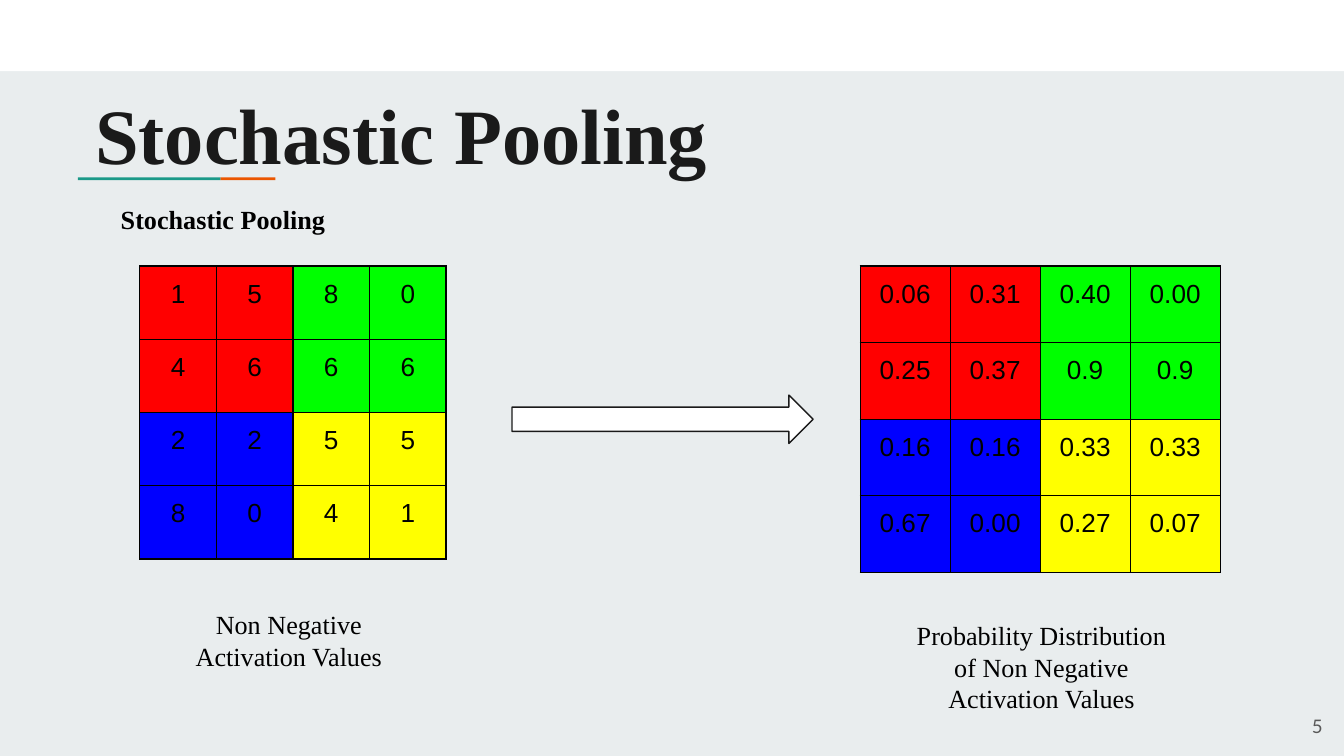
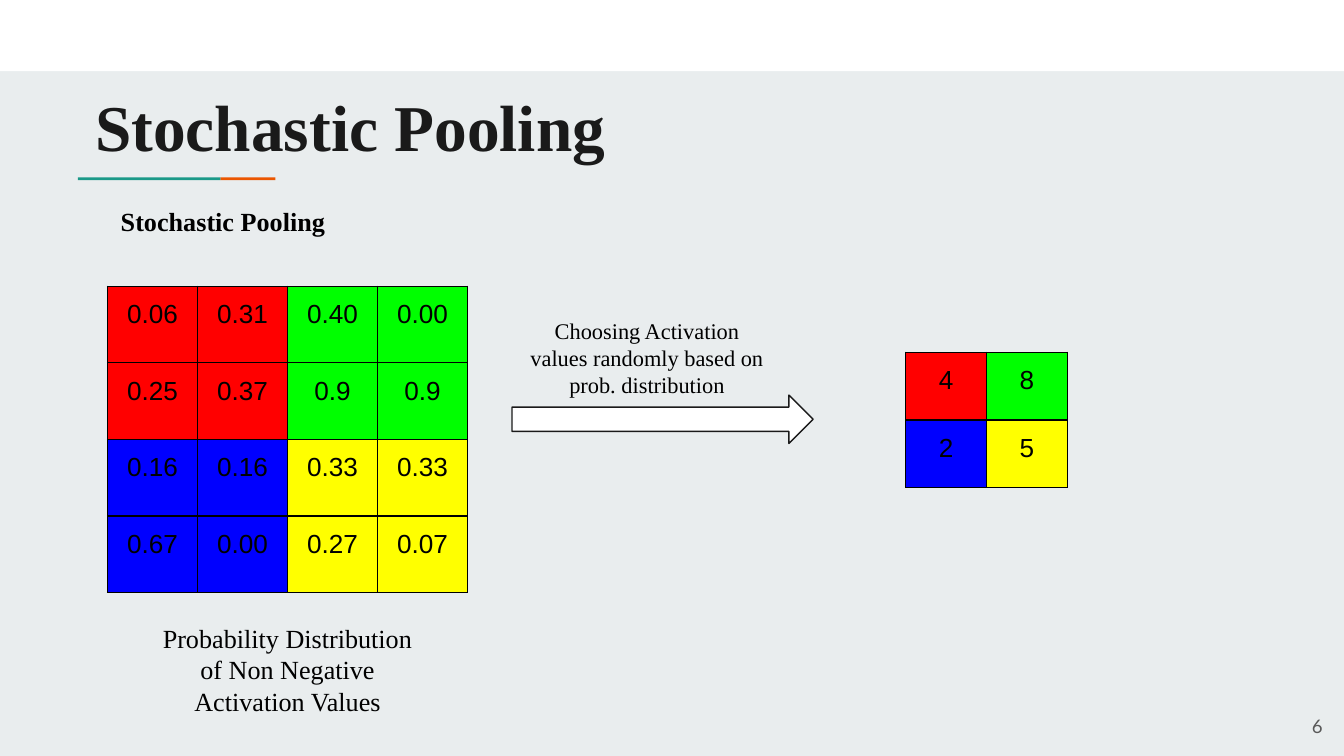
from lxml import etree
from pptx import Presentation
from pptx import util as u
from pptx.dml.color import RGBColor
from pptx.enum import shapes, text
from pptx.oxml.ns import qn

WIDTH, HEIGHT = 10, 5.625
COLORS = dict(page="E9EDEE", band="FFFFFF", teal="1A9988", orange="EB5600",
              title="1A1A1A", body="000000", number="595959")
QUADRANTS = [["FF0000", "00FF00"], ["0000FF", "FFFF00"]]
SERIF, SANS, NUMBER_FONT = "Times New Roman", "Arial", "Lato"

ACTIVATIONS = [["1", "5", "8", "0"],
               ["4", "6", "6", "6"],
               ["2", "2", "5", "5"],
               ["8", "0", "4", "1"]]
PROBABILITIES = [["0.06", "0.31", "0.40", "0.00"],
                 ["0.25", "0.37", "0.9", "0.9"],
                 ["0.16", "0.16", "0.33", "0.33"],
                 ["0.67", "0.00", "0.27", "0.07"]]
POOLED = [["4", "8"], ["2", "5"]]
PROBABILITY_CAPTION = ["Probability Distribution", "of Non Negative", "Activation Values"]

SLIDES = [
    dict(number="5", title="Stochastic Pooling", title_size=42,
         subtitle="Stochastic Pooling", subtitle_top=1.41,
         grids=[(ACTIVATIONS, 1.04, 1.98, 0.57, 0.545),
                (PROBABILITIES, 6.4, 1.98, 0.67, 0.57)],
         captions=[(["Non Negative", "Activation Values"], 0.91, 4.43, 2.48, 0.57, 14),
                   (PROBABILITY_CAPTION, 6.51, 4.51, 2.48, 0.85, 14)]),
    dict(number="6", title="Stochastic Pooling", title_size=35,
         subtitle="Stochastic Pooling", subtitle_top=1.43,
         grids=[(PROBABILITIES, 0.8, 2.13, 0.67, 0.57),
                (POOLED, 6.74, 2.62, 0.6, 0.505)],
         captions=[(PROBABILITY_CAPTION, 0.9, 4.53, 2.48, 0.85, 14),
                   (["Choosing Activation values randomly based on prob. distribution"],
                    3.83, 2.26, 1.97, 0.48, 12)]),
]


def rgb(color):
    return RGBColor.from_string(color)


def inches(*lengths):
    return [u.Inches(n) for n in lengths]


def write(tf, lines, size=14, font=SERIF, color=COLORS["body"], bold=False,
          align=text.PP_ALIGN.LEFT, anchor=text.MSO_ANCHOR.TOP):
    tf.word_wrap = True
    tf.vertical_anchor = anchor
    for i, line in enumerate(lines):
        p = tf.paragraphs[0] if i == 0 else tf.add_paragraph()
        p.alignment = align
        r = p.add_run()
        r.text = line
        r.font.size, r.font.name, r.font.bold = u.Pt(size), font, bold
        r.font.color.rgb = rgb(color)


def add_text(s, lines, *box, **style):
    tf = s.shapes.add_textbox(*inches(*box)).text_frame
    tf.margin_left = tf.margin_right = tf.margin_top = tf.margin_bottom = u.Inches(0.1)
    write(tf, lines, **style)


def add_box(s, kind, fill, *box, line=None):
    sp = s.shapes.add_shape(kind, *inches(*box))
    sp.shadow.inherit = False
    sp.fill.solid()
    sp.fill.fore_color.rgb = rgb(fill)
    if line:
        sp.line.color.rgb = rgb(line)
        sp.line.width = u.Pt(0.75)
    else:
        sp.line.fill.background()


def add_borders(cell):
    pr = cell._tc.get_or_add_tcPr()
    for i, side in enumerate(("lnL", "lnR", "lnT", "lnB")):
        ln = etree.Element(qn("a:" + side), w=str(u.Pt(0.75)))
        fill = etree.SubElement(ln, qn("a:solidFill"))
        etree.SubElement(fill, qn("a:srgbClr"), val=COLORS["body"])
        pr.insert(i, ln)


def add_grid(s, values, left, top, col_width, row_height):
    n = len(values)
    table = s.shapes.add_table(
        n, n, *inches(left, top, n * col_width, n * row_height)).table
    table.first_row = table.horz_banding = False
    for i, row in enumerate(values):
        table.rows[i].height = u.Inches(row_height)
        table.columns[i].width = u.Inches(col_width)
        for j, value in enumerate(row):
            cell = table.cell(i, j)
            cell.margin_left = cell.margin_right = u.Inches(0.1)
            cell.margin_top = cell.margin_bottom = u.Inches(0.1)
            cell.fill.solid()
            cell.fill.fore_color.rgb = rgb(QUADRANTS[2 * i // n][2 * j // n])
            add_borders(cell)
            write(cell.text_frame, [value], font=SANS, align=text.PP_ALIGN.CENTER)


def add_frame(s, content):
    rect = shapes.MSO_SHAPE.RECTANGLE
    s.background.fill.solid()
    s.background.fill.fore_color.rgb = rgb(COLORS["page"])
    add_box(s, rect, COLORS["band"], 0, 0, WIDTH, 0.53)
    add_box(s, rect, COLORS["orange"], 1.64, 1.32, 0.41, 0.02)
    add_box(s, rect, COLORS["teal"], 0.58, 1.32, 1.06, 0.02)
    add_text(s, [content["title"]], 0.61, 0.54, 8.41, 0.75,
             size=content["title_size"], color=COLORS["title"], bold=True)
    add_text(s, [content["subtitle"]], 0.8, content["subtitle_top"], 8.41, 4.14, bold=True)
    add_text(s, [content["number"]], 9.34, 5.19, 0.6, 0.43, size=10, font=NUMBER_FONT,
             color=COLORS["number"], align=text.PP_ALIGN.RIGHT,
             anchor=text.MSO_ANCHOR.MIDDLE)


def main():
    prs = Presentation()
    prs.slide_width, prs.slide_height = inches(WIDTH, HEIGHT)
    for content in SLIDES:
        s = prs.slides.add_slide(prs.slide_layouts[6])
        add_frame(s, content)
        for grid in content["grids"]:
            add_grid(s, *grid)
        add_box(s, shapes.MSO_SHAPE.RIGHT_ARROW, COLORS["band"],
                3.81, 2.94, 2.24, 0.36, line=COLORS["title"])
        for lines, *box, size in content["captions"]:
            add_text(s, lines, *box, size=size, align=text.PP_ALIGN.CENTER)
    prs.save("out.pptx")


if __name__ == "__main__":
    main()
